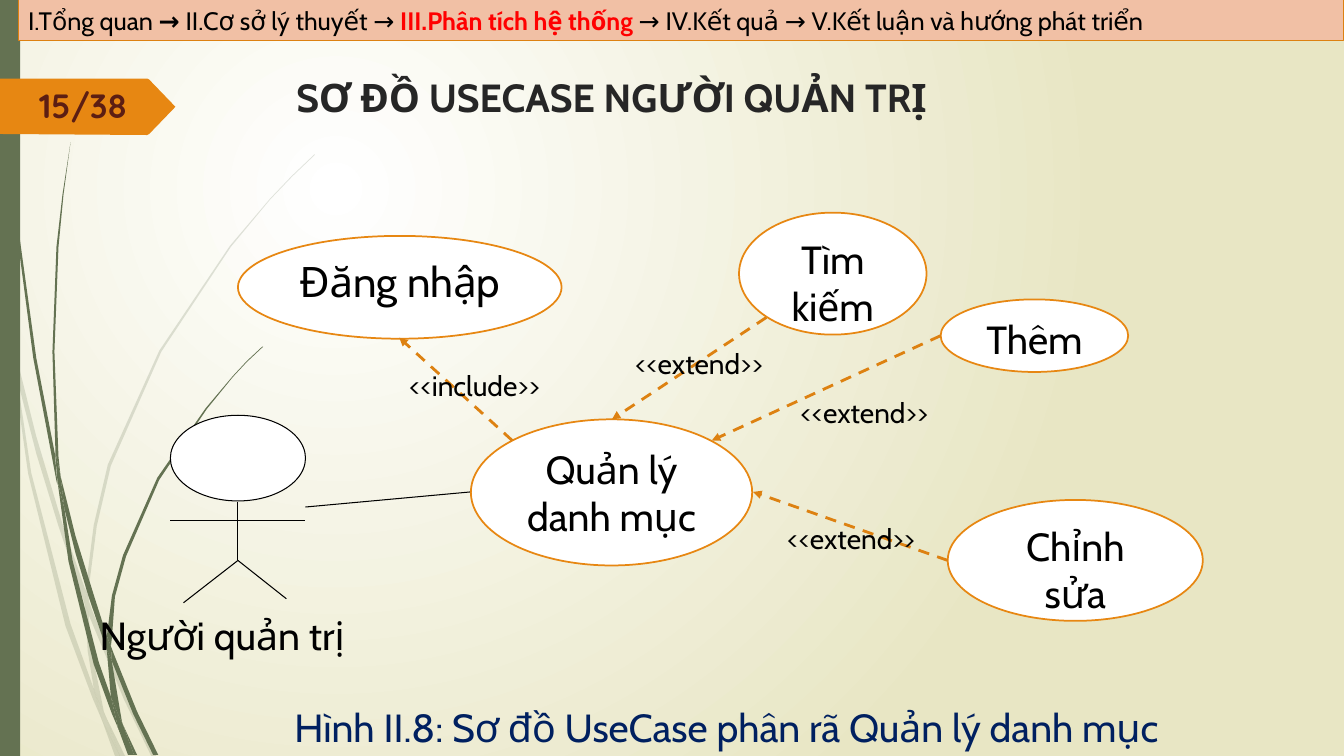
from pptx import Presentation
from pptx.dml.color import RGBColor
from pptx.enum.dml import MSO_LINE
from pptx.enum.shapes import MSO_CONNECTOR, MSO_SHAPE
from pptx.enum.text import MSO_ANCHOR, PP_ALIGN
from pptx.oxml import parse_xml
from pptx.oxml.ns import nsdecls, qn
from pptx.util import Inches, Pt
from lxml.etree import SubElement

BLACK, WHITE, GREEN, ORANGE, DARK_ORANGE = "000000", "FFFFFF", "647252", "E78712", "DD8111"


def rgb(color):
    return RGBColor.from_string(color)


class Deck:
    def __init__(self, s, font="Cabin"):
        self.s, self.font = s, font

    def background(self, inner, outer):
        """Radial gradient centred in the upper left quarter."""
        self.s.background.fill.solid()
        bg = self.s.element.find(".//" + qn("p:bgPr"))
        bg.replace(bg[0], parse_xml(
            f'<a:gradFill {nsdecls("a")} rotWithShape="1"><a:gsLst>'
            f'<a:gs pos="0"><a:srgbClr val="{inner}"/></a:gs>'
            f'<a:gs pos="100000"><a:srgbClr val="{outer}"/></a:gs></a:gsLst>'
            '<a:path path="circle"><a:fillToRect l="50000" t="50000" r="100000" b="100000"/>'
            '</a:path></a:gradFill>'))

    def paint(self, sp, fill, line=None, width=0.75):
        sp.shadow.inherit = False
        sp.fill.solid()
        sp.fill.fore_color.rgb = rgb(fill)
        if line:
            sp.line.color.rgb = rgb(line)
            sp.line.width = Pt(width)
        else:
            sp.line.fill.background()

    def fill_text(self, sp, runs, size, align=PP_ALIGN.LEFT, anchor=MSO_ANCHOR.TOP, after=0):
        """Each run is (text, colour, bold)."""
        tf = sp.text_frame
        tf.word_wrap = True
        tf.vertical_anchor = anchor
        p = tf.paragraphs[0]
        p.alignment = align
        p.space_after = Pt(after)
        for text, color, bold in runs:
            r = p.add_run()
            r.text = text
            r.font.name, r.font.size, r.font.bold = self.font, Pt(size), bold
            r.font.color.rgb = rgb(color)

    def shape(self, kind, box, fill, line=None, width=0.75):
        sp = self.s.shapes.add_shape(kind, *map(Inches, box))
        self.paint(sp, fill, line, width)
        return sp

    def text(self, box, text, size, color=BLACK, bold=False, align=PP_ALIGN.LEFT):
        sp = self.s.shapes.add_textbox(*map(Inches, box))
        self.fill_text(sp, [(text, color, bold)], size, align)
        return sp

    def use_case(self, box, text, size=28):
        sp = self.shape(MSO_SHAPE.OVAL, box, WHITE, ORANGE, 1.25)
        self.fill_text(sp, [(text, BLACK, False)], size, PP_ALIGN.CENTER, after=10)

    def line(self, start, end, color=BLACK, width=0.75, arrow=False):
        cx = self.s.shapes.add_connector(MSO_CONNECTOR.STRAIGHT, *map(Inches, start + end))
        cx.line.color.rgb = rgb(color)
        cx.line.width = Pt(width)
        props = cx.element.spPr
        if arrow:
            cx.line.dash_style = MSO_LINE.DASH
            SubElement(props.find(qn("a:ln")), qn("a:tailEnd"), type="triangle")
        SubElement(props, qn("a:effectLst"))

    def outline(self, points, fill, alpha=None):
        start, *rest = [(Inches(x), Inches(y)) for x, y in points]
        fb = self.s.shapes.build_freeform(*start)
        fb.add_line_segments(rest, close=True)
        sp = fb.convert_to_shape()
        self.paint(sp, fill)
        if alpha:
            clr = sp.element.spPr.find(qn("a:solidFill"))[0]
            SubElement(clr, qn("a:alpha"), val=str(alpha * 1000))


# Grass blades, as outlines in inches
PALE_BLADES = [
    [(0.11, 3.5), (0.09, 3.22), (0, 2.82), (0, 2.99), (0.1, 3.44)],
    [(0.58, 5.22), (0.84, 5.99), (0.85, 5.86), (0.62, 5.2), (0.36, 4.33), (0.14, 3.45),
     (0.17, 3.76), (0.36, 4.5)],
    [(0.92, 6.07), (0.88, 5.96), (0.88, 6.1), (1.23, 6.94), (1.5, 7.5), (1.55, 7.5), (1.27, 6.92)],
    [(1.19, 7.5), (1.24, 7.5), (1.05, 7.11)],
    [(0.93, 6.83), (0.7, 6.19), (0.31, 4.69), (0.17, 3.76), (0.11, 3.5), (0.28, 4.7),
     (0.65, 6.21), (0.92, 6.93), (1.01, 7.14), (0.99, 7.07)],
    [(0.84, 5.99), (0.87, 6.46), (0.93, 6.83), (0.96, 6.92), (1.05, 7.11), (1.03, 7.06),
     (0.91, 6.46), (0.88, 6.1), (0.88, 6.08)],
    [(0.88, 5.84), (0.96, 5.22), (1.1, 4.62), (1.6, 3.49), (2.29, 2.45), (2.68, 1.98),
     (2.9, 1.75), (3.12, 1.54), (3.12, 1.53), (2.89, 1.75), (2.68, 1.97), (2.28, 2.44),
     (1.58, 3.48), (1.07, 4.61), (0.93, 5.21), (0.85, 5.84), (0.85, 5.86), (0.88, 5.96)],
    [(1.01, 7.14), (1.14, 7.5), (1.19, 7.5)],
    [(0.88, 6.08), (0.88, 6.1), (0.88, 5.96), (0.85, 5.86), (0.84, 5.99)],
    [(0.96, 6.92), (0.93, 6.83), (0.99, 7.07), (1.01, 7.14), (1.19, 7.5), (1.05, 7.11)],
]
DARK_BLADES = [
    [(0.07, 1.1), (0.17, 2.33), (0.33, 3.55), (0.56, 4.77), (0.57, 4.81), (0.55, 4.57),
     (0.55, 4.53), (0.36, 3.55), (0.19, 2.32), (0.08, 1.09), (0.05, 0.48), (0.04, 0),
     (0.03, 0), (0.04, 0.48)],
    [(0.88, 5.92), (1.06, 6.45), (1.06, 6.31), (0.93, 5.9), (0.75, 5.32), (0.6, 4.72),
     (0.64, 5.05), (0.75, 5.49)],
    [(1.13, 6.49), (1.1, 6.41), (1.11, 6.56), (1.32, 7.08), (1.52, 7.49), (1.57, 7.49), (1.36, 7.06)],
    [(1.1, 6.91), (0.98, 6.57), (0.72, 5.56), (0.64, 5.05), (0.57, 4.77), (0.68, 5.57),
     (0.93, 6.59), (1.11, 7.08), (1.17, 7.22), (1.16, 7.17)],
    [(0.6, 4.72), (0.58, 4.53), (0.54, 3.49), (0.58, 2.45), (0.63, 1.93), (0.7, 1.41),
     (0.62, 1.93), (0.56, 2.45), (0.52, 3.49), (0.55, 4.49)],
    [(1.33, 7.49), (1.36, 7.49), (1.22, 7.19)],
    [(0.57, 4.77), (0.64, 5.05), (0.6, 4.72), (0.55, 4.49), (0.55, 4.53)],
    [(1.11, 6.33), (1.14, 5.92), (1.25, 5.52), (1.58, 4.76), (2.05, 4.06), (2.31, 3.74),
     (2.45, 3.59), (2.61, 3.44), (2.6, 3.44), (2.45, 3.58), (2.31, 3.73), (2.04, 4.05),
     (1.56, 4.74), (1.22, 5.51), (1.11, 5.91), (1.06, 6.31), (1.1, 6.41)],
    [(1.17, 7.22), (1.27, 7.49), (1.31, 7.49)],
    [(1.06, 6.45), (1.1, 6.91), (1.16, 7.06), (1.22, 7.19), (1.21, 7.16), (1.11, 6.56), (1.09, 6.51)],
    [(1.06, 6.45), (1.09, 6.51), (1.11, 6.56), (1.1, 6.41), (1.06, 6.31)],
    [(1.16, 7.06), (1.1, 6.91), (1.16, 7.17), (1.17, 7.22), (1.3, 7.49), (1.33, 7.49), (1.22, 7.19)],
]
PAGE_TAG = [(1.74, 1.06), (1.48, 1.33), (1.46, 1.34), (0, 1.33), (0, 0.78), (1.46, 0.78), (1.48, 0.79)]


def main():
    prs = Presentation()
    prs.slide_width, prs.slide_height = Inches(13.33), Inches(7.5)
    d = Deck(prs.slides.add_slide(prs.slide_layouts[6]))

    # Backdrop
    d.background(WHITE, "E8E6C4")
    for blade in PALE_BLADES:
        d.outline(blade, GREEN, 20)
    for blade in DARK_BLADES:
        d.outline(blade, GREEN)
    d.shape(MSO_SHAPE.RECTANGLE, (0, 0, 0.2, 7.5), GREEN)

    # Page number
    d.outline(PAGE_TAG, ORANGE)
    number = d.text((0.29, 0.79, 1.2, 0.5), "15/38", 24, "5C1E13", True)
    number.text_frame.paragraphs[0].runs[0].font.name = "Quicksand"

    # Caption
    d.text((2.52, 6.93, 9.37, 0.57), "Hình II.8: Sơ đồ UseCase phân rã Quản lý danh mục",
           28, "002060", align=PP_ALIGN.CENTER)

    # Actor
    d.shape(MSO_SHAPE.OVAL, (1.69, 4.12, 1.34, 0.85), WHITE, BLACK)
    hip = (2.36, 5.56)
    for start, end in [((2.36, 4.98), hip), ((1.69, 5.16), (3.03, 5.16)),
                       (hip, (1.82, 5.98)), (hip, (2.84, 5.94)),
                       ((3.03, 5.03), (4.67, 4.88))]:
        d.line(start, end)
    d.text((0.89, 6.02, 3.2, 0.57), "Người quản trị", 28)

    # Use cases
    d.use_case((2.36, 2.34, 3.21, 1.02), "Đăng nhập", 30)
    d.use_case((4.67, 4.16, 2.79, 1.45), "Quản lý danh mục")
    d.use_case((9.33, 2.97, 1.86, 0.72), "Thêm")
    d.use_case((9.4, 4.96, 2.53, 1.2), "Chỉnh sửa")
    d.use_case((7.33, 2.11, 1.86, 1.21), "Tìm kiếm")

    # Relations: start, end, label corner, label
    for start, end, corner, label in [
            ((5.08, 4.37), (3.96, 3.35), (3.96, 3.61), "<<include>>"),
            ((7.6, 3.15), (6.07, 4.16), (6.2, 3.39), "<<extend>>"),
            ((9.33, 3.33), (7.06, 4.37), (7.84, 3.87), "<<extend>>"),
            ((9.4, 5.56), (7.47, 4.88), (7.71, 5.12), "<<extend>>")]:
        d.line(start, end, DARK_ORANGE, 2, arrow=True)
        d.text(corner + (1.9, 0.44), label, 20)

    # Progress bar and title
    bar = d.shape(MSO_SHAPE.RECTANGLE, (0.18, 0, 13.15, 0.4), "F1C0A5", DARK_ORANGE)
    d.fill_text(bar, [("I.Tổng quan ", BLACK, False), ("→ ", BLACK, True),
                      ("II.Cơ sở lý thuyết → ", BLACK, False),
                      ("III.Phân tích hệ thống ", "FF0000", True),
                      ("→ IV.Kết quả → V.Kết luận và hướng phát triển", BLACK, False)],
                18, anchor=MSO_ANCHOR.MIDDLE)
    d.text((2.84, 0.68, 9.75, 1.4), "SƠ ĐỒ USECASE NGƯỜI QUẢN TRỊ", 28, "262626", True)

    prs.save("out.pptx")


if __name__ == "__main__":
    main()
